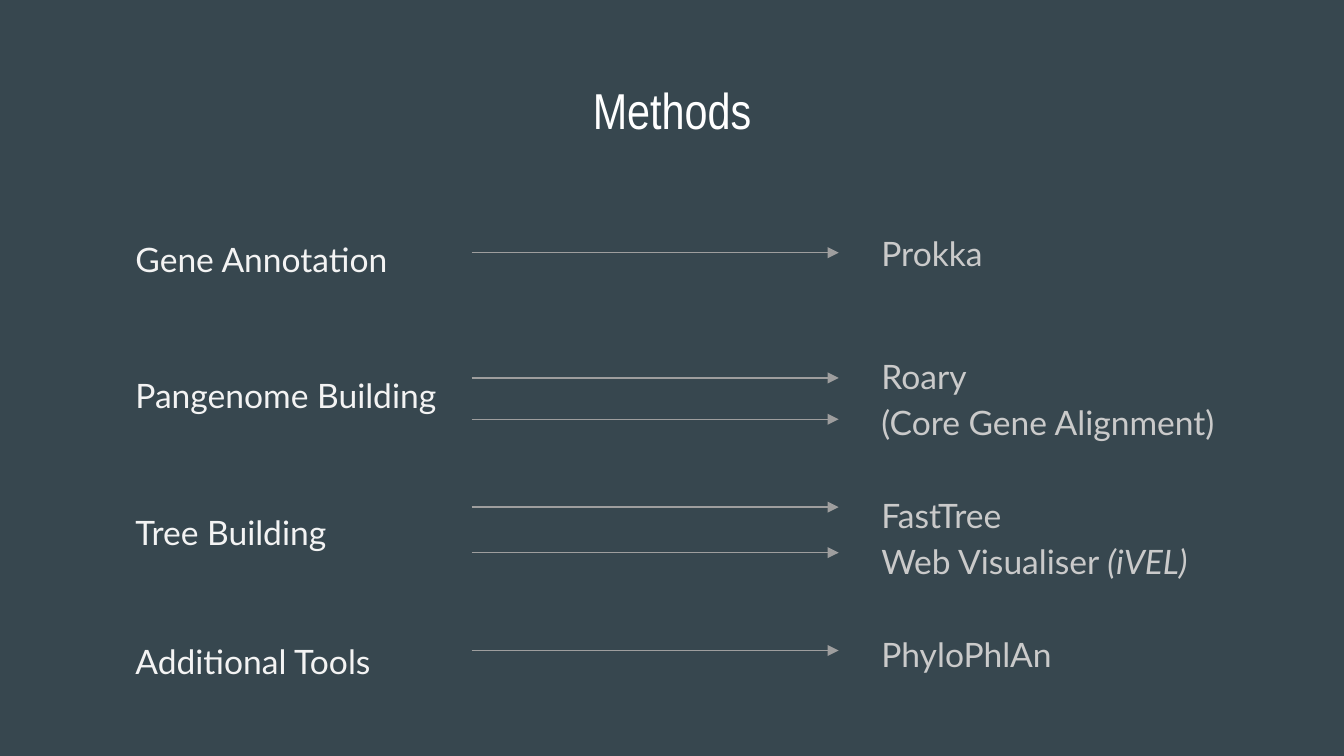
from dataclasses import dataclass

from lxml.etree import SubElement
from pptx import Presentation
from pptx.dml.color import RGBColor
from pptx.enum.shapes import MSO_CONNECTOR as Connector
from pptx.enum.text import MSO_ANCHOR as Anchor, PP_ALIGN as Align
from pptx.oxml.ns import qn
from pptx.slide import Slide
from pptx.util import Pt

COLORS = {
    "background": "37474F",
    "title": "FFFFFF",
    "step": "F3F3F3",
    "tool": "CACACA",
    "arrow": "9E9E9E",
}
INSET = 7.2
ARROW_LEFT, ARROW_RIGHT = 252.7, 449.3
ARROW_HEIGHTS = (135.4, 202.5, 224.6, 271.7, 296.1, 348.5)


@dataclass
class Line:
    text: str
    space_before: float = 0
    italic_tail: str = ""


@dataclass
class TextBlock:
    left: float
    top: float
    width: float
    height: float
    lines: list[Line]
    color: str
    font: str = "Lato"
    size: float = 18
    spacing: float = 1.15
    align: Align = Align.LEFT


BLOCKS = [
    TextBlock(273.3, 35.3, 173.5, 45.4, [Line("Methods")], "title",
              "Arial Narrow", 27, 1, Align.CENTER),
    TextBlock(65.5, 117.4, 196.6, 269.3, [
        Line("Gene Annotation"),
        Line("Pangenome Building", 48.3),
        Line("Tree Building", 48.3),
        Line("Additional Tools", 44.2),
    ], "step"),
    TextBlock(465.1, 114.5, 235.4, 269.3, [
        Line("Prokka"),
        Line("Roary", 41),
        Line("(Core Gene Alignment)"),
        Line("FastTree", 24.8),
        Line("Web Visualiser ", italic_tail="(iVEL)"),
        Line("PhyloPhlAn", 24.8),
    ], "tool"),
]


def rgb(name: str) -> RGBColor:
    return RGBColor.from_string(COLORS[name])


def draw_text(slide: Slide, block: TextBlock) -> None:
    shape = slide.shapes.add_textbox(
        Pt(block.left), Pt(block.top), Pt(block.width), Pt(block.height))
    frame = shape.text_frame
    frame.word_wrap = True
    frame.vertical_anchor = Anchor.TOP
    frame.margin_left = frame.margin_right = Pt(INSET)
    frame.margin_top = frame.margin_bottom = Pt(INSET)
    frame.text = "\n".join(line.text for line in block.lines)
    for paragraph, line in zip(frame.paragraphs, block.lines):
        paragraph.alignment = block.align
        paragraph.line_spacing = block.spacing
        paragraph.space_before = Pt(line.space_before)
        if line.italic_tail:
            tail = paragraph.add_run()
            tail.text = line.italic_tail
            tail.font.italic = True
        for run in paragraph.runs:
            run.font.name = block.font
            run.font.size = Pt(block.size)
            run.font.color.rgb = rgb(block.color)


def draw_arrow(slide: Slide, height: float) -> None:
    arrow = slide.shapes.add_connector(
        Connector.STRAIGHT, Pt(ARROW_LEFT), Pt(height), Pt(ARROW_RIGHT), Pt(height))
    arrow.line.color.rgb = rgb("arrow")
    arrow.line.width = Pt(0.75)
    SubElement(arrow.line._get_or_add_ln(), qn("a:tailEnd"),
               type="triangle", w="med", len="med")
    SubElement(arrow._element.spPr, qn("a:effectLst"))


# Slide and background
presentation = Presentation()
presentation.slide_width, presentation.slide_height = Pt(720), Pt(405)
slide = presentation.slides.add_slide(presentation.slide_layouts[6])
slide.background.fill.solid()
slide.background.fill.fore_color.rgb = rgb("background")

# Title, steps and tools
for block in BLOCKS:
    draw_text(slide, block)

# Arrows from each step to its tools
for height in ARROW_HEIGHTS:
    draw_arrow(slide, height)

presentation.save("out.pptx")
